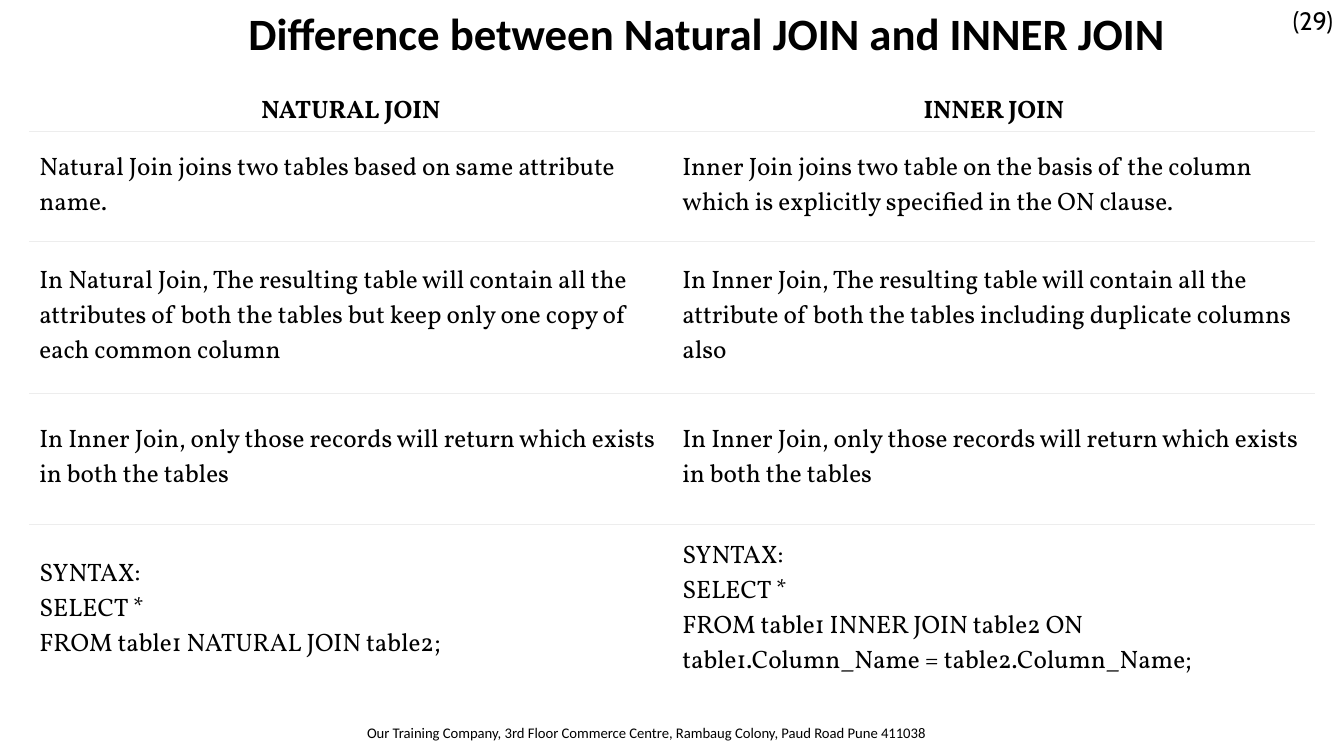
from lxml.etree import SubElement as Sub
from pptx import Presentation
from pptx.dml.color import RGBColor
from pptx.enum.shapes import MSO_SHAPE as Kind
from pptx.enum.text import MSO_ANCHOR as Anchor, MSO_AUTO_SIZE as Fit, PP_ALIGN as Align
from pptx.oxml import parse_xml
from pptx.oxml.ns import nsdecls, qn
from pptx.util import Cm, Pt

BLACK = RGBColor(0, 0, 0)
WHITE = RGBColor(255, 255, 255)
RULE = RGBColor(0xED, 0xED, 0xED)


def write(frame, text, font, size, bold=False, align=Align.LEFT):
    para = frame.paragraphs[0]
    para.alignment = align
    for n, line in enumerate(text.split("\n")):
        if n:
            para.add_line_break()
        run = para.add_run()
        run.text = line
        run.font.name = font
        run.font.size = Pt(size)
        run.font.bold = bold
        run.font.color.rgb = BLACK


def border(cell, side):
    props = cell._tc.get_or_add_tcPr()
    line = parse_xml(f'<a:{side} {nsdecls("a")} w="{Pt(0.75)}"/>')
    fill = Sub(line, qn("a:solidFill"))
    Sub(fill, qn("a:srgbClr"), val=str(RULE))
    props.insert(0, line)


deck = Presentation()
deck.slide_width, deck.slide_height = Cm(33.87), Cm(19.05)
slide = deck.slides.add_slide(deck.slide_layouts[6])
shapes = slide.shapes

title = shapes.add_shape(Kind.RECTANGLE, Cm(4.23), Cm(0), Cm(25.4), Cm(1.62))
title.shadow.inherit = False
title.fill.solid()
title.fill.fore_color.rgb = WHITE
title.line.fill.background()
title.text_frame.word_wrap = True
title.text_frame.vertical_anchor = Anchor.MIDDLE
write(title.text_frame, "Difference between Natural JOIN and INNER JOIN",
      "Calibri", 32, True, Align.RIGHT)

foot = shapes.add_textbox(Cm(9), Cm(18.12), Cm(15), Cm(1.02))
foot.text_frame.word_wrap = True
write(foot.text_frame,
      "Our Training Company, 3rd Floor Commerce Centre, Rambaug Colony, Paud Road Pune 411038",
      "Calibri", 10.5)

both = "In Inner Join, only those records will return which exists in both the tables"
rows = [
    ("NATURAL JOIN", "INNER JOIN"),
    ("Natural Join joins two tables based on same attribute name.",
     "Inner Join joins two table on the basis of the column which is explicitly "
     "specified in the ON clause."),
    ("In Natural Join, The resulting table will contain all the attributes of both "
     "the tables but keep only one copy of each common column",
     "In Inner Join, The resulting table will contain all the attribute of both "
     "the tables including duplicate columns also"),
    (both, both),
    ("SYNTAX:\nSELECT *\nFROM table1 NATURAL JOIN table2;",
     "SYNTAX:\nSELECT *\nFROM table1 INNER JOIN table2 ON "
     "table1.Column_Name = table2.Column_Name;"),
]
highs = [0.79, 2.79, 3.81, 3.3, 4.32]

holder = shapes.add_table(len(rows), 2, Cm(0.74), Cm(2.24), Cm(32.41), Cm(15.29))
table = holder.table
table._tbl.tblPr.find(qn("a:tableStyleId")).text = "{2D5ABB26-0587-4C30-8999-92F81FD0307C}"
table.horz_banding = False
for r, (pair, high) in enumerate(zip(rows, highs)):
    head = r == 0
    table.rows[r].height = Cm(high)
    for c, text in enumerate(pair):
        cell = table.cell(r, c)
        cell.vertical_anchor = Anchor.MIDDLE
        cell.margin_left = cell.margin_right = Cm(0.15 if head else 0.25)
        cell.margin_top = cell.margin_bottom = Cm(0.15 if head else 0.13)
        if head:
            cell.fill.background()
        else:
            cell.fill.solid()
            cell.fill.fore_color.rgb = WHITE
        if r < len(rows) - 1:
            border(cell, "lnB")
        if not head:
            border(cell, "lnT")
        write(cell.text_frame, text, "Vollkorn", 18, head,
              Align.CENTER if head else Align.LEFT)
holder.height = Cm(15.29)

page = shapes.add_textbox(Cm(32.33), Cm(0), Cm(1.55), Cm(1.02))
page.text_frame.word_wrap = False
page.text_frame.auto_size = Fit.SHAPE_TO_FIT_TEXT
write(page.text_frame, "(29)", "Cabin", 18)

deck.save("out.pptx")
